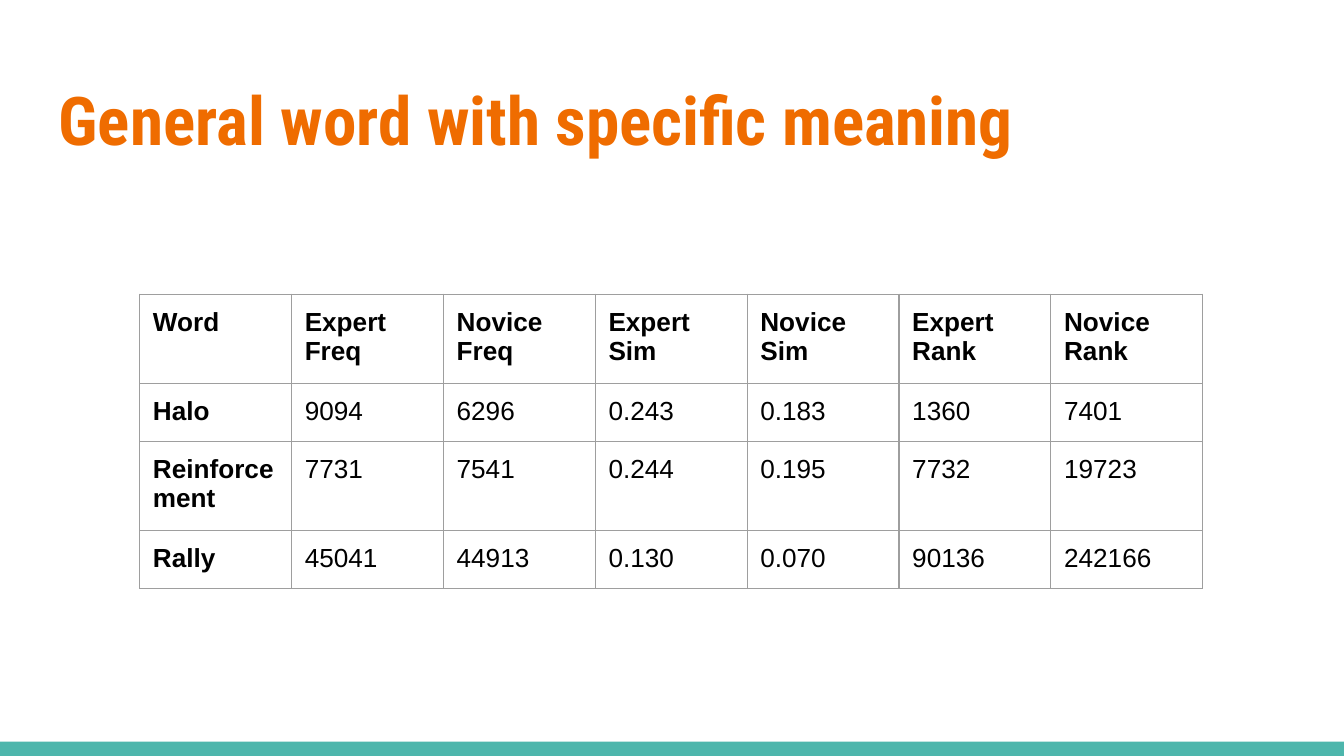
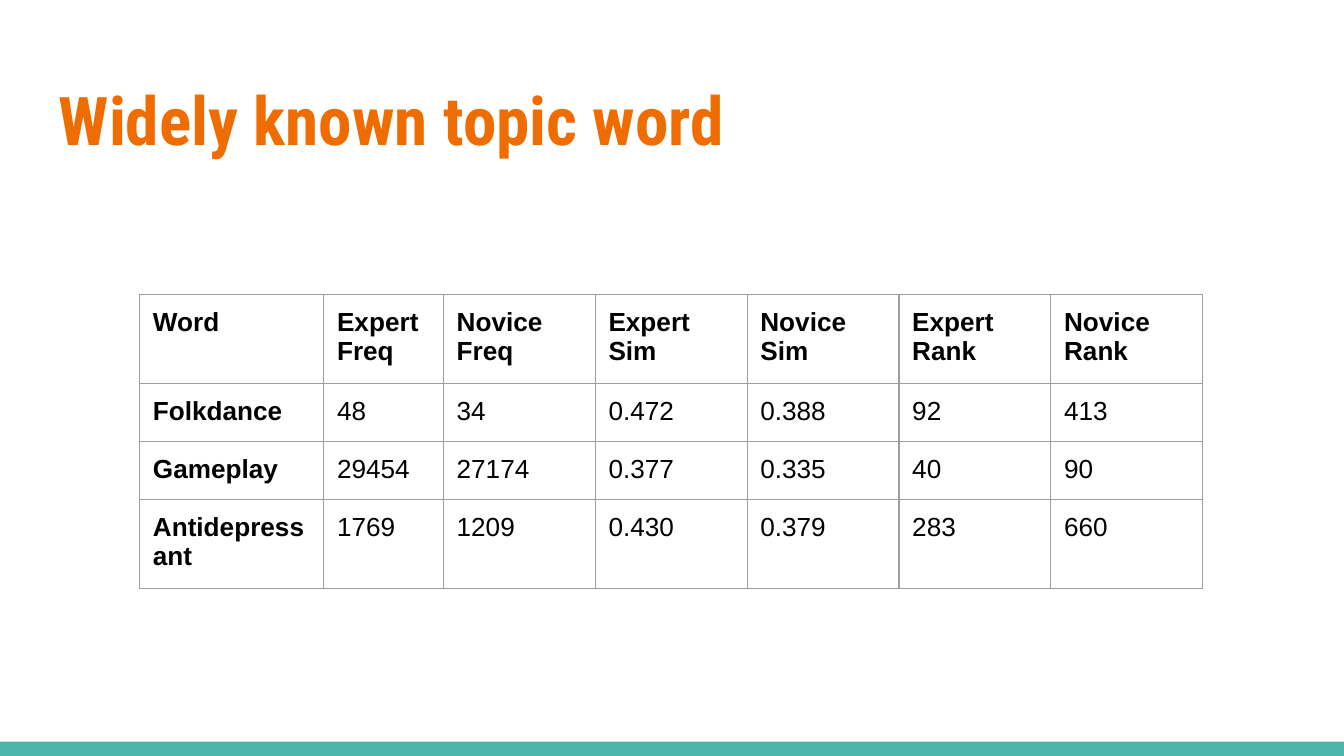
from dataclasses import dataclass

from lxml.etree import SubElement
from pptx import Presentation
from pptx.dml.color import RGBColor
from pptx.enum.shapes import MSO_SHAPE as Preset
from pptx.enum.text import MSO_ANCHOR as Anchor
from pptx.oxml.ns import qn
from pptx.util import Cm, Pt


@dataclass(frozen=True)
class Theme:
    accent: str = "EF6C00"
    band: str = "4DB6AC"
    ink: str = "000000"
    grid: str = "9E9E9E"
    title_font: str = "Roboto Condensed"
    body_font: str = "Arial"
    title_size: int = 36
    body_size: int = 14
    grid_width: float = 0.75
    inset: float = 0.25


HEADINGS = ("Word", "Expert Freq", "Novice Freq", "Expert Sim",
            "Novice Sim", "Expert Rank", "Novice Rank")
WIDTH, HEIGHT = 25.4, 14.29
BAND_HEIGHT = 0.27
COLUMN, ROW = 2.87, 1.06
EVEN_COLUMNS = [COLUMN] * len(HEADINGS)
WORD_EXTRA = 0.61
WIDE_WORD_COLUMNS = [COLUMN + WORD_EXTRA, COLUMN - WORD_EXTRA] + EVEN_COLUMNS[2:]

SLIDES = (
    ("General word with specific meaning", EVEN_COLUMNS, (
        ("Halo", "9094", "6296", "0.243", "0.183", "1360", "7401"),
        ("Reinforcement", "7731", "7541", "0.244", "0.195", "7732", "19723"),
        ("Rally", "45041", "44913", "0.130", "0.070", "90136", "242166"),
    )),
    ("Widely known topic word", WIDE_WORD_COLUMNS, (
        ("Folkdance", "48", "34", "0.472", "0.388", "92", "413"),
        ("Gameplay", "29454", "27174", "0.377", "0.335", "40", "90"),
        ("Antidepressant", "1769", "1209", "0.430", "0.379", "283", "660"),
    )),
)


class Deck:
    """Builds styled slides and keeps track of the current one."""

    def __init__(self, theme):
        self.theme = theme
        self.prs = Presentation()
        self.prs.slide_width, self.prs.slide_height = Cm(WIDTH), Cm(HEIGHT)
        self.slide = None

    def new_slide(self, heading):
        self.slide = self.prs.slides.add_slide(self.prs.slide_layouts[6])
        self.band()
        self.title(heading)

    def band(self):
        stripe = self.slide.shapes.add_shape(
            Preset.RECTANGLE, 0, Cm(HEIGHT - BAND_HEIGHT), Cm(WIDTH), Cm(BAND_HEIGHT))
        stripe.shadow.inherit = False
        stripe.fill.solid()
        stripe.fill.fore_color.rgb = RGBColor.from_string(self.theme.band)
        stripe.line.fill.background()

    def title(self, heading):
        frame = self.slide.shapes.add_textbox(
            Cm(0.86), Cm(1.24), Cm(23.67), Cm(1.96)).text_frame
        frame.word_wrap = True
        frame.vertical_anchor = Anchor.TOP
        self.inset(frame)
        frame.text = heading
        self.font(frame, self.theme.title_font, self.theme.title_size,
                  self.theme.accent, True)

    def table(self, columns, records):
        rows = (HEADINGS, *records)
        grid = self.slide.shapes.add_table(
            len(rows), len(columns), Cm(2.64), Cm(5.56),
            Cm(sum(columns)), Cm(ROW * len(rows))).table
        grid.first_row = grid.horz_banding = False
        for column, width in zip(grid.columns, columns):
            column.width = Cm(width)
        for r, record in enumerate(rows):
            for c, entry in enumerate(record):
                self.cell(grid.cell(r, c), entry, r == 0 or c == 0)

    def cell(self, cell, entry, bold):
        cell.text = entry
        cell.vertical_anchor = Anchor.TOP
        self.inset(cell)
        self.font(cell.text_frame, self.theme.body_font, self.theme.body_size,
                  self.theme.ink, bold)
        self.borders(cell)
        cell.fill.background()

    def borders(self, cell):
        properties = cell._tc.get_or_add_tcPr()
        for side in ("a:lnL", "a:lnR", "a:lnT", "a:lnB"):
            edge = SubElement(properties, qn(side), w=str(Pt(self.theme.grid_width)))
            fill = SubElement(edge, qn("a:solidFill"))
            SubElement(fill, qn("a:srgbClr"), val=self.theme.grid)

    def inset(self, holder):
        for side in ("left", "right", "top", "bottom"):
            setattr(holder, f"margin_{side}", Cm(self.theme.inset))

    def font(self, frame, name, size, color, bold):
        for paragraph in frame.paragraphs:
            font = paragraph.font
            font.name, font.size, font.bold = name, Pt(size), bold
            font.color.rgb = RGBColor.from_string(color)


def main():
    deck = Deck(Theme())
    for heading, columns, records in SLIDES:
        deck.new_slide(heading)
        deck.table(columns, records)
    deck.prs.save("out.pptx")


if __name__ == "__main__":
    main()
